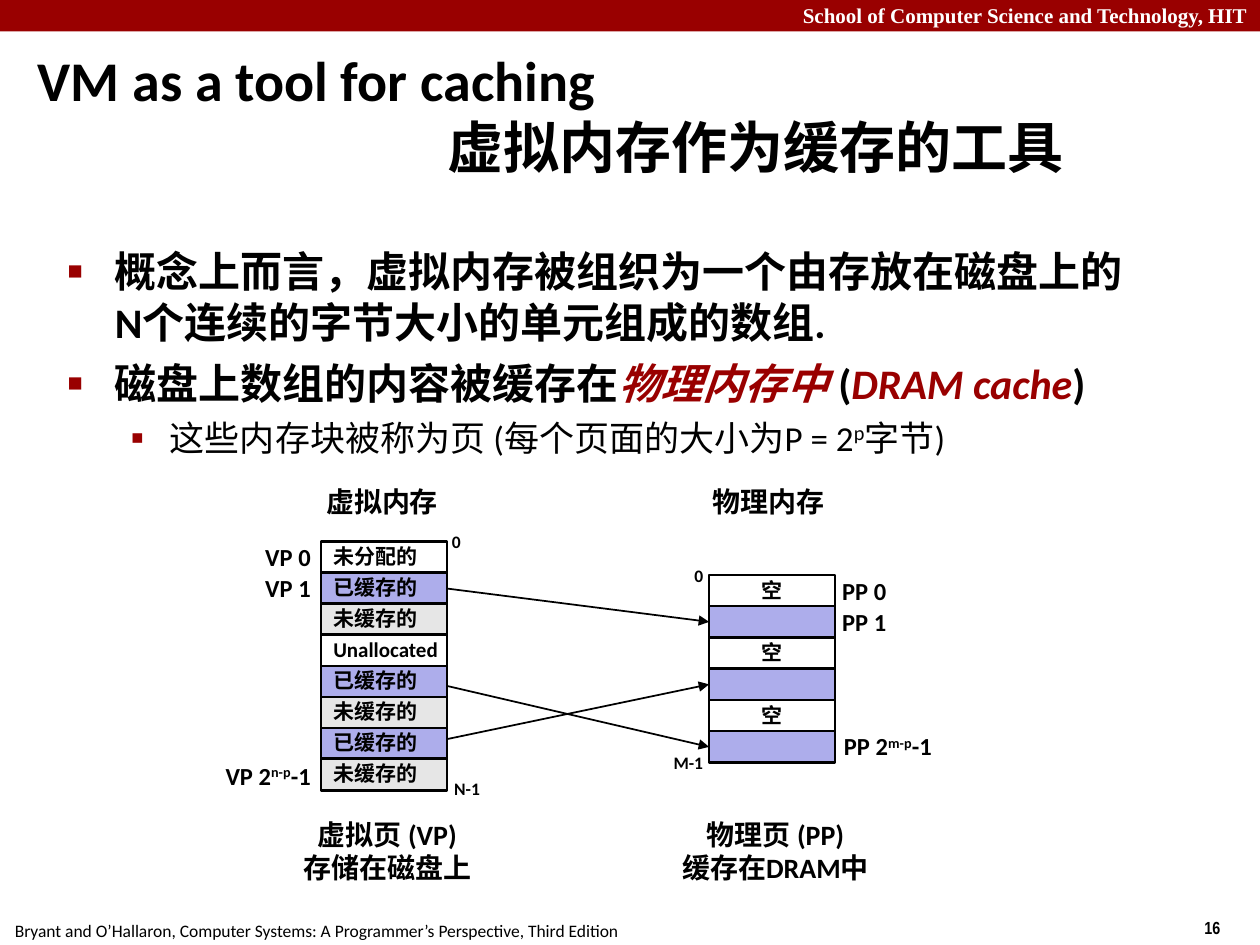
import pptx
import pptx.dml.color
import pptx.enum.shapes
import pptx.enum.text
import pptx.oxml
import pptx.oxml.ns
import pptx.util

Pt = pptx.util.Pt
ALIGN = pptx.enum.text.PP_ALIGN
ANCHOR = pptx.enum.text.MSO_ANCHOR
SHAPE = pptx.enum.shapes.MSO_SHAPE
COLORS = {"red": "990000", "black": "000000", "white": "FFFFFF",
          "cached": "ADADEB", "uncached": "E6E6E6"}
ROW_HEIGHT = 18


def rgb(name):
    return pptx.dml.color.RGBColor.from_string(COLORS[name])


def add_xml(parent, tag, **attributes):
    child = pptx.oxml.parse_xml(
        f'<a:{tag} xmlns:a="{pptx.oxml.ns.nsuri("a")}"/>')
    for key, value in attributes.items():
        child.set(key, value)
    parent.append(child)
    return child


def write_para(para, spans, size, bold=True, color="black", font="Calibri",
               align=ALIGN.LEFT, line=None, before=0):
    para.alignment = align
    para.space_before = Pt(before)
    if line:
        para.line_spacing = line
    para.font.size = Pt(size)
    para.font.bold = bold
    para.font.name = font
    para.font.color.rgb = rgb(color)
    for text, style in spans:
        span = para.add_run()
        span.text = text
        if style == "accent":
            span.font.italic = True
            span.font.color.rgb = rgb("red")
        elif style == "super":
            span._r.get_or_add_rPr().set("baseline", "30000")


def indent_para(para, margin, indent):
    props = para._p.get_or_add_pPr()
    props.set("marL", str(Pt(margin)))
    props.set("indent", str(Pt(indent)))
    return props


def set_bullet(para, margin, indent, char, percent):
    props = indent_para(para, margin, indent)
    default = props.find(pptx.oxml.ns.qn("a:defRPr"))
    props.remove(default)
    add_xml(add_xml(props, "buClr"), "srgbClr", val=COLORS["red"])
    add_xml(props, "buSzPct", val=str(percent * 1000))
    add_xml(props, "buFont", typeface="Arial")
    add_xml(props, "buChar", char=char)
    props.append(default)


def add_text(page, box, lines, size, wrap=False, anchor=ANCHOR.TOP, **style):
    frame = page.shapes.add_textbox(*map(Pt, box)).text_frame
    frame.word_wrap = wrap
    frame.vertical_anchor = anchor
    for index, spans in enumerate(lines):
        para = frame.add_paragraph() if index else frame.paragraphs[0]
        write_para(para, spans, size, **style)
    return frame


def add_rect(page, box, color):
    rect = page.shapes.add_shape(SHAPE.RECTANGLE, *map(Pt, box))
    rect.shadow.inherit = False
    rect.fill.solid()
    rect.fill.fore_color.rgb = rgb(color)
    return rect


def add_frame(page, box):
    left, top, width, height = box
    add_rect(page, (left, top, width, 18), "red").line.fill.background()
    add_text(page, (left, top - 2, width, 21.6),
             [[("School of Computer Science and Technology, HIT", None)]], 12,
             wrap=True, color="white", font="Times New Roman",
             align=ALIGN.RIGHT)
    add_text(page, (left + 1.4, height - 18, 360.7, 19.4),
             [[("Bryant and O’Hallaron, Computer Systems: "
                "A Programmer’s Perspective, Third Edition", None)]],
             10, bold=False)
    add_text(page, (width - 38.9, height - 19.4, 54, 19.4), [[("16", None)]],
             10, font="Arial Narrow")


def add_title(page, box):
    title = page.shapes.title
    title.left, title.top, title.width, title.height = map(Pt, box)
    frame = title.text_frame
    frame.auto_size = pptx.enum.text.MSO_AUTO_SIZE.NONE
    frame.vertical_anchor = ANCHOR.MIDDLE
    write_para(frame.paragraphs[0], [("VM as a tool for caching", None)], 32)
    second = frame.add_paragraph()
    write_para(second, [("虚拟内存作为缓存的工具", None)], 32)
    indent_para(second, 234, 0)


def add_bullets(page, box):
    first = [("概念上而言，虚拟内存被组织为一个由存放在磁盘上的"
              "N个连续的字节大小的单元组成的数组.", None)]
    second = [("磁盘上数组的内容被缓存在", None), ("物理内存中 ", "accent"),
              ("(", None), ("DRAM cache", "accent"), (")", None)]
    detail = [("这些内存块被称为页 (每个页面的大小为P = 2", None),
              ("p", "super"), ("字节)", None)]
    frame = add_text(page, box, [first, second], 24, wrap=True, before=6)
    for para in frame.paragraphs:
        set_bullet(para, 27, -27, "■", 60)
    para = frame.add_paragraph()
    para.level = 1
    write_para(para, detail, 20, bold=False, before=5)
    set_bullet(para, 58.5, -22.5, "▪", 110)


def add_memory(page, box, rows, align):
    left, top, width, height = box
    pitch = (height - ROW_HEIGHT) / (len(rows) - 1)
    rects = []
    for index, (text, color) in enumerate(rows):
        rect = add_rect(page, (left, top + index * pitch, width, ROW_HEIGHT),
                        color)
        rect.line.color.rgb = rgb("black")
        rect.line.width = Pt(1.5)
        if text:
            rect.text_frame.word_wrap = False
            rect.text_frame.vertical_anchor = ANCHOR.MIDDLE
            write_para(rect.text_frame.paragraphs[0], [(text, None)], 12,
                       align=align, line=0.98)
        rects.append(rect)
    return rects


def add_heading(page, box, text):
    add_text(page, box, [[(text, None)]], 16, align=ALIGN.CENTER, line=0.88,
             before=6)


def add_caption(page, box, lines):
    add_text(page, box, [[(line, None)] for line in lines], 16,
             anchor=ANCHOR.MIDDLE, align=ALIGN.CENTER, line=0.98)


def add_addresses(page, labels):
    for text, box in labels:
        add_text(page, box, [[(text, None)]], 10, anchor=ANCHOR.MIDDLE,
                 align=ALIGN.CENTER, line=0.98)


def add_virtual(page, box):
    left, top, width, height = box
    free, cached, uncached = (("未分配的", "white"), ("已缓存的", "cached"),
                              ("未缓存的", "uncached"))
    rects = add_memory(page, box, [
        free, cached, uncached, ("Unallocated", "white"),
        cached, uncached, cached, uncached], ALIGN.LEFT)
    add_heading(page, (left - 4.3, top - 33.8, 78.5, 23.8), "虚拟内存")
    last = [("VP 2", None), ("n-p", "super"), ("-1", None)]
    for spans, offset, size in (([("VP 0", None)], -1.4, 48),
                                ([("VP 1", None)], 16.6, 48),
                                (last, 123.8, 72)):
        add_text(page, (left + 1.3 - size, top + offset, size, 21.6), [spans],
                 14, align=ALIGN.RIGHT, line=0.88, before=6)
    add_addresses(page, [
        ("0", (left + width - 4.3, top - 9.4, 19.4, 19.4)),
        ("N-1", (left + width - 8.5, top + height - 10, 40, 19.4))])
    add_caption(page, (left - 42, top + height + 13, 160, 44.6),
                ["虚拟页 (VP)", "存储在磁盘上"])
    return rects


def add_physical(page, box):
    left, top, width, height = box
    empty, cached = ("空", "white"), ("", "cached")
    rects = add_memory(page, box, [empty, cached] * 3, ALIGN.CENTER)
    add_heading(page, (left - 5.5, top - 52.5, 78.5, 23.8), "物理内存")
    for index in range(2):
        add_text(page, (left + width - 7.4, top - 2.2 + index * ROW_HEIGHT,
                        48, 23.8), [[(f"PP {index}", None)]], 14,
                 anchor=ANCHOR.MIDDLE, align=ALIGN.CENTER, line=0.98)
    add_text(page, (left + width - 2, top + height - 19.4, 72, 21.6),
             [[("PP 2", None), ("m-p", "super"), ("-1", None)]], 14,
             line=0.88, before=6)
    add_addresses(page, [
        ("0", (left - 15.5, top - 8.6, 19.4, 19.4)),
        ("M-1", (left - 31.9, top + height - 9.4, 40, 19.4))])
    add_caption(page, (left - 42, top + height + 28.8, 160, 44.6),
                ["物理页 (PP)", "缓存在DRAM中"])
    return rects


def add_mappings(page, virtual, physical):
    for source, target, shift in ((1, 1, 0), (4, 5, 2.5), (6, 3, -2.5)):
        start = virtual[source]
        end = physical[target]
        arrow = page.shapes.add_connector(
            pptx.enum.shapes.MSO_CONNECTOR.STRAIGHT,
            start.left + start.width,
            start.top + start.height // 2 + Pt(shift),
            end.left, end.top + end.height // 2)
        if not shift:
            arrow.begin_connect(start, 3)
        arrow.end_connect(end, 1)
        arrow.line.color.rgb = rgb("black")
        arrow.line.width = Pt(1)
        add_xml(arrow.line._get_or_add_ln(), "tailEnd", type="triangle")
        add_xml(arrow._element.spPr, "effectLst")


def main():
    deck = pptx.Presentation()
    deck.slide_width, deck.slide_height = Pt(720), Pt(540)
    page = deck.slides.add_slide(deck.slide_layouts[5])
    add_frame(page, (0, 0, 720, 540))
    add_title(page, (14.4, 34.6, 686.2, 59.8))
    add_bullets(page, (31.5, 137, 622, 162.7))
    virtual = add_virtual(page, (183.4, 309.6, 72, 142))
    physical = add_physical(page, (405.2, 328.5, 72, 107.3))
    add_mappings(page, virtual, physical)
    deck.save("out.pptx")


if __name__ == "__main__":
    main()
